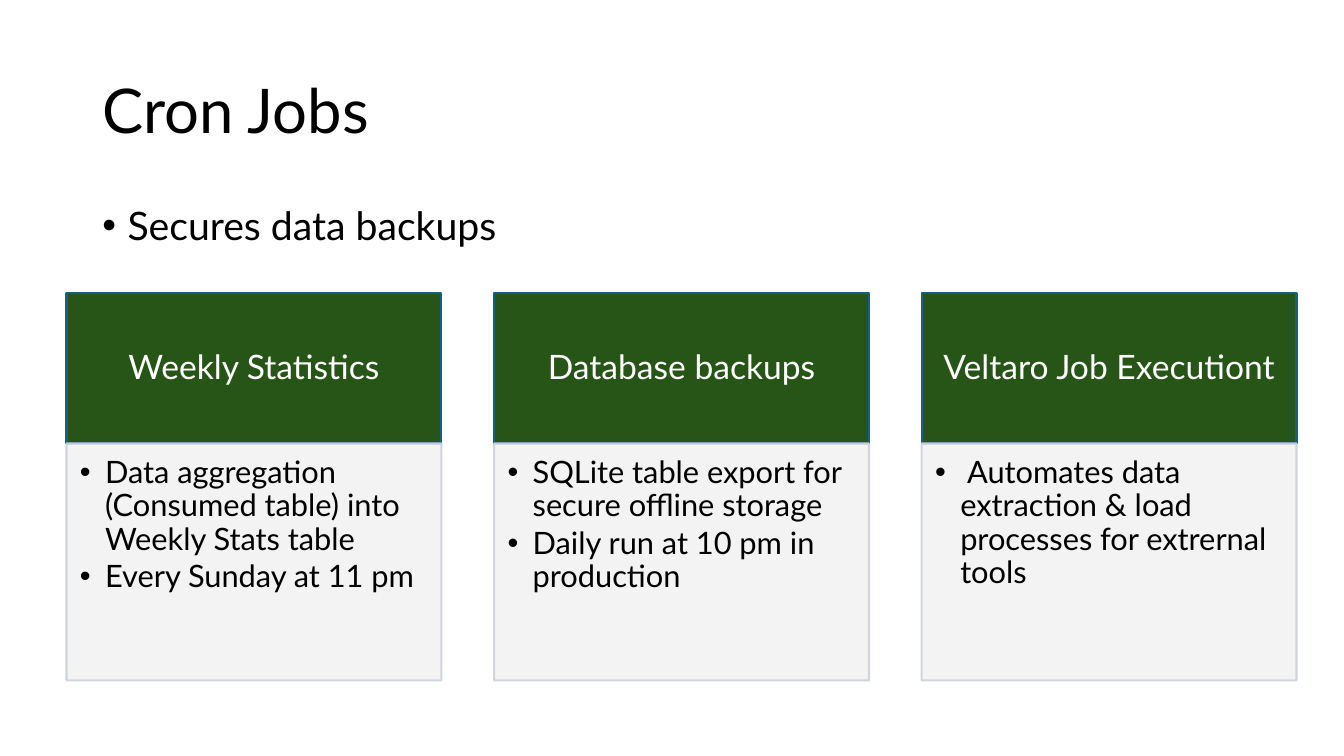
from lxml.etree import SubElement
from pptx import Presentation
from pptx.dml.color import RGBColor
from pptx.enum.shapes import MSO_SHAPE
from pptx.enum.text import MSO_ANCHOR, PP_ALIGN
from pptx.oxml.ns import qn
from pptx.util import Inches, Pt

COLORS = {
    "text": "000000",
    "header": "275417",
    "header_line": "156082",
    "header_text": "FFFFFF",
    "panel": "F2F2F2",
    "panel_line": "CCD2D8",
}
COLS, ROWS = 160, 90  # grid of square cells
FONT = "Lato"


def rgb(name):
    return RGBColor.from_string(COLORS[name])


class SlideBuilder:
    def __init__(self, prs):
        self.s = prs.slides.add_slide(prs.slide_layouts[6])
        self.col = prs.slide_width / COLS
        self.row = prs.slide_height / ROWS

    def box(self, col, row, cols, rows):
        return (round(col * self.col), round(row * self.row),
                round(cols * self.col), round(rows * self.row))

    def fill_text(self, sp, lines, size, color="text", anchor=MSO_ANCHOR.TOP,
                  align=PP_ALIGN.LEFT, bullet=False, before=0, after=0,
                  insets=(7.2, 3.6, 7.2, 3.6)):
        tf = sp.text_frame
        tf.word_wrap = True
        tf.vertical_anchor = anchor
        (tf.margin_left, tf.margin_top,
         tf.margin_right, tf.margin_bottom) = map(Pt, insets)
        for i, line in enumerate(lines):
            p = tf.add_paragraph() if i else tf.paragraphs[0]
            p.alignment = align
            p.line_spacing = 0.9
            p.space_before, p.space_after = Pt(before), Pt(after)
            if bullet:
                pPr = p._p.get_or_add_pPr()
                pPr.set("marL", str(Inches(0.25)))
                pPr.set("indent", str(-Inches(0.25)))
                SubElement(pPr, qn("a:buFont"), typeface="Arial")
                SubElement(pPr, qn("a:buChar"), char="•")
            r = p.add_run()
            r.text = line
            r.font.name, r.font.size = FONT, Pt(size)
            r.font.color.rgb = rgb(color)

    def text(self, box, lines, size, **style):
        sp = self.s.shapes.add_textbox(*self.box(*box))
        self.fill_text(sp, lines, size, **style)

    def rect(self, box, fill, line, lines, size, opacity=100, **style):
        sp = self.s.shapes.add_shape(MSO_SHAPE.RECTANGLE, *self.box(*box))
        sp.shadow.inherit = False
        sp.fill.solid()
        sp.fill.fore_color.rgb = rgb(fill)
        sp.line.color.rgb = rgb(line)
        sp.line.width = Pt(1.5)
        if opacity < 100:
            for clr in sp._element.spPr.iter(qn("a:srgbClr")):
                SubElement(clr, qn("a:alpha"), val=str(opacity * 1000))
        self.fill_text(sp, lines, size, **style)

    def card(self, col, heading, points):
        self.rect((col, 34.9, 44.64, 17.9), "header", "header_line",
                  [heading], 24, color="header_text",
                  anchor=MSO_ANCHOR.MIDDLE, align=PP_ALIGN.CENTER,
                  insets=(13.5, 7.7, 13.5, 7.7))
        self.rect((col, 52.8, 44.64, 28.2), "panel", "panel_line",
                  points, 22, opacity=90, bullet=True, after=3.3,
                  insets=(9.6, 9.6, 12.8, 14.4))


def main():
    prs = Presentation()
    prs.slide_width, prs.slide_height = Inches(13.33), Inches(7.5)
    slide = SlideBuilder(prs)

    # Title and lead point
    slide.text((11, 4.8, 138, 17.4), ["Cron Jobs"], 44, anchor=MSO_ANCHOR.MIDDLE)
    slide.text((11, 24, 138, 57.1), ["Secures data backups"], 28,
               bullet=True, before=10)

    # One card per job
    jobs = [
        ("Weekly Statistics",
         ["Data aggregation (Consumed table) into Weekly Stats table",
          "Every Sunday at 11 pm"]),
        ("Database backups",
         ["SQLite table export for secure offline storage",
          "Daily run at 10 pm in production"]),
        ("Veltaro Job Executiont",
         [" Automates data extraction & load processes for extrernal tools"]),
    ]
    for i, (heading, points) in enumerate(jobs):
        slide.card(7.92 + i * 50.9, heading, points)

    prs.save("out.pptx")


if __name__ == "__main__":
    main()
